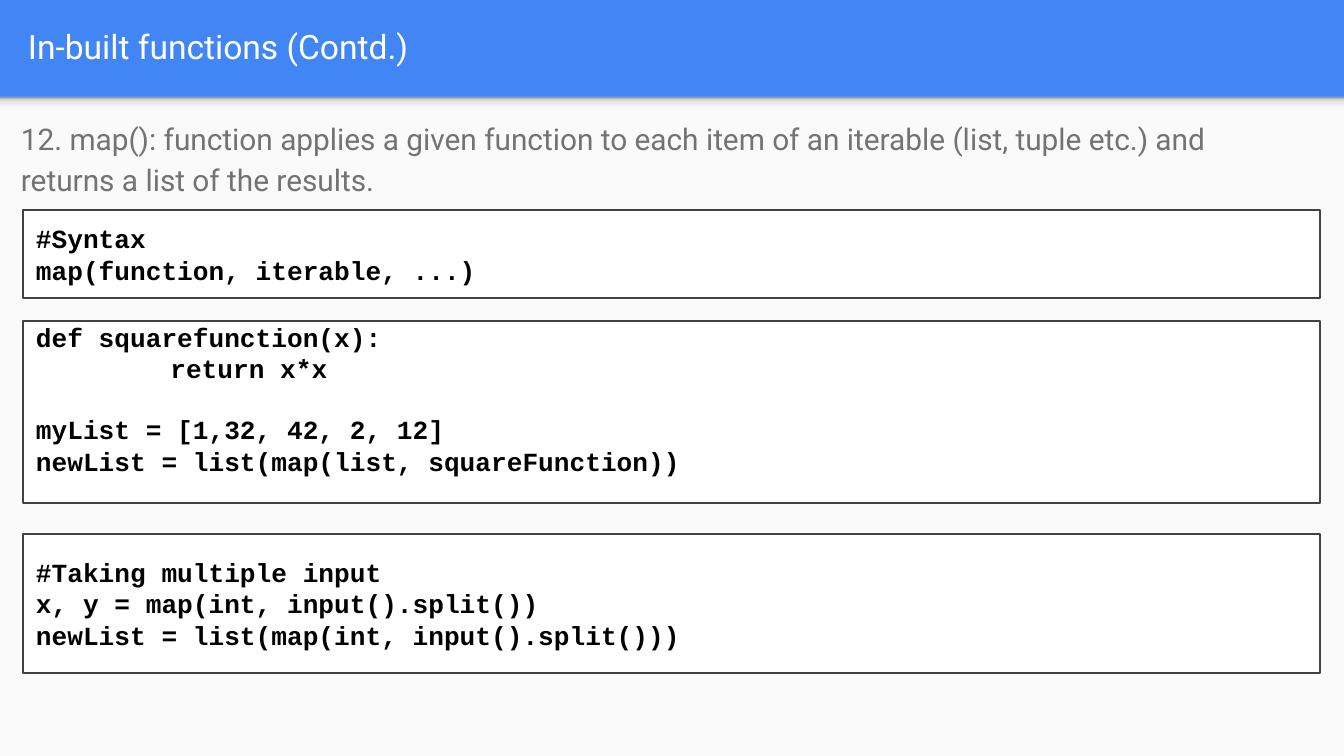
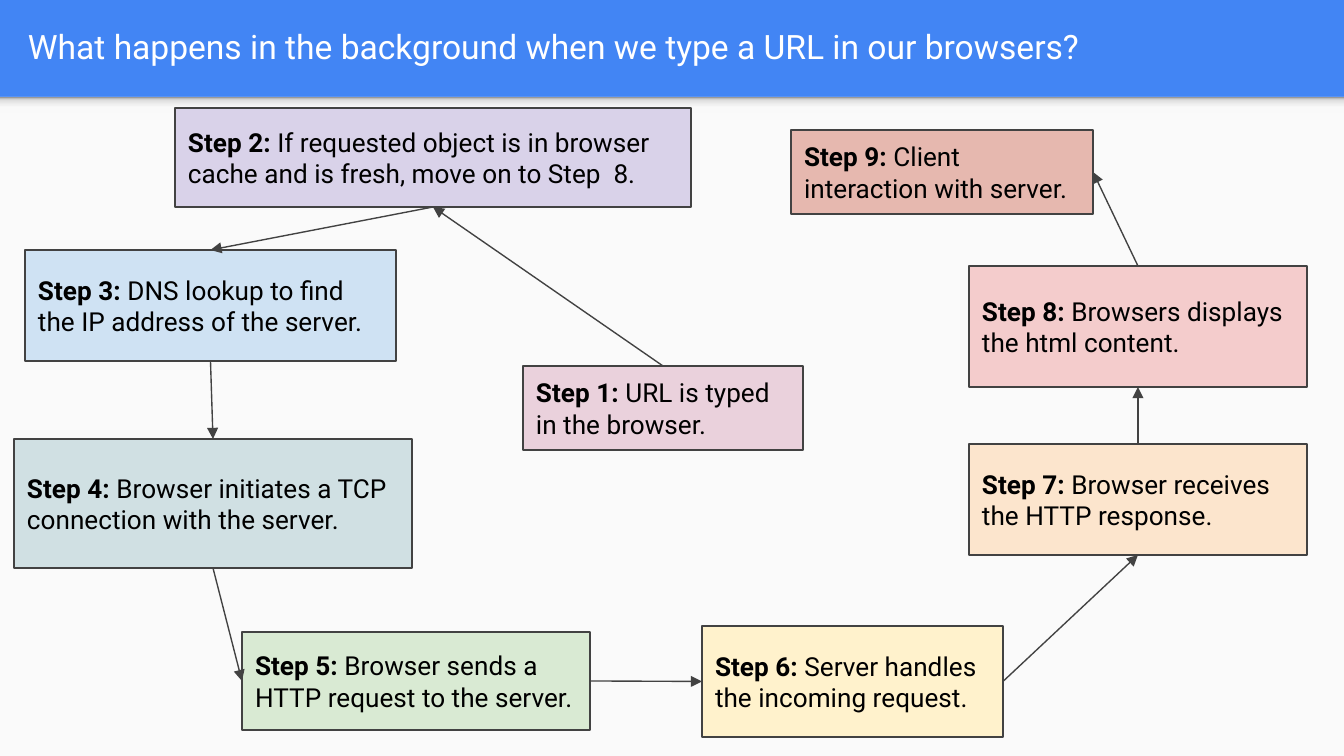
from dataclasses import dataclass
from itertools import pairwise

from lxml import etree
from pptx import Presentation
from pptx.dml.color import RGBColor
from pptx.enum.shapes import MSO_CONNECTOR, MSO_SHAPE
from pptx.enum.text import MSO_ANCHOR, PP_ALIGN
from pptx.oxml.ns import qn
from pptx.util import Pt

RECTANGLE = MSO_SHAPE.RECTANGLE
STRAIGHT = MSO_CONNECTOR.STRAIGHT
TOP_ANCHOR = MSO_ANCHOR.TOP
MIDDLE_ANCHOR = MSO_ANCHOR.MIDDLE
LEFT_ALIGN = PP_ALIGN.LEFT
TOP, LEFT, BOTTOM, RIGHT = range(4)  # connection sites of a rectangle


@dataclass(frozen=True)
class Theme:
    band: str = "4285F4"
    panel: str = "FAFAFA"
    outline: str = "424242"
    white: str = "FFFFFF"
    black: str = "000000"
    muted: str = "737373"
    shade: tuple = ((0, "F9F9F9"), (36, "F9F9F9"), (80, "DEDEDE"), (100, "999999"))
    text_font: str = "Roboto"
    code_font: str = "Courier New"
    title_size: int = 18
    body_size: int = 16
    label_size: int = 14
    line_width: float = 0.75


@dataclass(frozen=True)
class Box:
    x: int
    y: int
    w: int
    h: int

    def inner(self, x, y, w, h):
        return Box(self.x + x, self.y + y, w, h)

    def emu(self):
        return [px(v) for v in (self.x, self.y, self.w, self.h)]


THEME = Theme()
SLIDE = Box(0, 0, 1344, 756)
HEADER = Box(0, 0, 1344, 97)
CONTENT = Box(0, 97, 1344, 659)
INSET = 13
TEXT_WIDTH = 1297


def px(value):
    return round(value * 914400 / 134.4)


def rgb(value):
    return RGBColor.from_string(value)


# Shared parts
def add_rectangle(slide, box, fill, line=None):
    rectangle = slide.shapes.add_shape(RECTANGLE, *box.emu())
    rectangle.shadow.inherit = False
    rectangle.fill.solid()
    rectangle.fill.fore_color.rgb = rgb(fill)
    if line:
        rectangle.line.color.rgb = rgb(line)
        rectangle.line.width = Pt(THEME.line_width)
    else:
        rectangle.line.fill.background()
    return rectangle


def format_frame(frame, anchor=MIDDLE_ANCHOR, top=INSET):
    settings = {
        "word_wrap": True,
        "vertical_anchor": anchor,
        "margin_left": px(INSET),
        "margin_right": px(INSET),
        "margin_top": px(top),
        "margin_bottom": px(INSET),
    }
    for name, value in settings.items():
        setattr(frame, name, value)


def add_run(paragraph, text, size, color, font=THEME.text_font, bold=False):
    paragraph.alignment = LEFT_ALIGN
    run = paragraph.add_run()
    run.text = text
    for name, value in {"name": font, "size": Pt(size), "bold": bold}.items():
        setattr(run.font, name, value)
    run.font.color.rgb = rgb(color)


def add_text(slide, box, text, size, color, anchor, spacing):
    frame = slide.shapes.add_textbox(*box.emu()).text_frame
    format_frame(frame, anchor)
    paragraph = frame.paragraphs[0]
    paragraph.line_spacing = spacing
    add_run(paragraph, text, size, color)


def add_header_shade(slide, box):
    shade = add_rectangle(slide, box, THEME.panel)
    gradient = etree.Element(qn("a:gradFill"), rotWithShape="1")
    stops = etree.SubElement(gradient, qn("a:gsLst"))
    for percent, color in THEME.shade:
        stop = etree.SubElement(stops, qn("a:gs"), pos=str(percent * 1000))
        etree.SubElement(stop, qn("a:srgbClr"), val=color)
    etree.SubElement(gradient, qn("a:lin"), ang="16200000", scaled="0")
    properties = shade.element.spPr
    properties.replace(properties.find(qn("a:solidFill")), gradient)


def add_titled_slide(deck, title):
    slide = deck.slides.add_slide(deck.slide_layouts[6])
    slide.background.fill.solid()
    slide.background.fill.fore_color.rgb = rgb(THEME.band)
    add_rectangle(slide, CONTENT, THEME.panel)
    add_header_shade(slide, CONTENT.inner(0, 0, CONTENT.w, 16))
    add_text(slide, HEADER.inner(15, 2, TEXT_WIDTH, 89), title,
             THEME.title_size, THEME.white, MIDDLE_ANCHOR, 1)
    return slide


# Code slide
SYNTAX = ["#Syntax", "map(function, iterable, ...)"]
SQUARES = [
    "def squarefunction(x):",
    "\treturn x*x",
    "",
    "myList = [1,32, 42, 2, 12]",
    "newList = list(map(list, squareFunction))",
]
MULTIPLE_INPUT = [
    "#Taking multiple input",
    "x, y = map(int, input().split())",
    "newList = list(map(int, input().split()))",
]


def add_code(slide, box, lines, anchor=MIDDLE_ANCHOR, top=INSET):
    frame = add_rectangle(slide, box, THEME.white, THEME.outline).text_frame
    format_frame(frame, anchor, top)
    paragraph = frame.paragraphs[0]
    for number, line in enumerate(lines):
        if not line:
            continue
        if number:
            paragraph = frame.add_paragraph()
            if not lines[number - 1]:  # an empty code line becomes spacing
                paragraph.space_before = Pt(16)
        if line.startswith("\t"):  # a code tab becomes an indent
            properties = paragraph._p.get_or_add_pPr()
            properties.set("marL", "914400")
            properties.set("indent", "0")
        add_run(paragraph, line.strip(), THEME.label_size, THEME.black,
                THEME.code_font, True)


def build_map_slide(deck, area):
    slide = add_titled_slide(deck, "In-built functions (Contd.)")
    add_text(slide, area.inner(8, 5, TEXT_WIDTH, 89),
             "12. map(): function applies a given function to each item of an "
             "iterable (list, tuple etc.) and returns a list of the results.",
             THEME.body_size, THEME.muted, TOP_ANCHOR, 1.15)
    add_code(slide, area.inner(23, 113, TEXT_WIDTH, 88), SYNTAX)
    add_code(slide, area.inner(23, 224, TEXT_WIDTH, 182), SQUARES, TOP_ANCHOR, 0)
    add_code(slide, area.inner(23, 437, TEXT_WIDTH, 139), MULTIPLE_INPUT)


# Flow slide: text, fill and place of each step, in order
STEPS = [
    ("URL is typed in the browser.", "EAD1DC", (523, 269, 280, 84)),
    ("If requested object is in browser cache and is fresh, move on to Step  8.",
     "D9D2E9", (175, 11, 516, 99)),
    ("DNS lookup to find the IP address of the server.", "CFE2F3", (25, 153, 371, 111)),
    ("Browser initiates a TCP connection with the server.", "D0E0E3",
     (14, 342, 398, 129)),
    ("Browser sends a HTTP request to the server.", "D9EAD3", (242, 535, 348, 98)),
    ("Server handles the incoming request.", "FFF2CC", (702, 529, 301, 111)),
    ("Browser receives the HTTP response.", "FCE5CD", (969, 347, 338, 111)),
    ("Browsers displays the html content.", "F4CCCC", (969, 169, 338, 121)),
    ("Client interaction with server.", "E6B8AF", (791, 33, 302, 84)),
]
# Sides that the arrow from each step to the next one joins
ARROW_SIDES = [
    (TOP, BOTTOM), (BOTTOM, TOP), (BOTTOM, TOP), (BOTTOM, LEFT),
    (RIGHT, LEFT), (RIGHT, BOTTOM), (TOP, BOTTOM), (TOP, RIGHT),
]


def add_step(slide, box, number, text, fill):
    step = add_rectangle(slide, box, fill, THEME.outline)
    format_frame(step.text_frame)
    paragraph = step.text_frame.paragraphs[0]
    add_run(paragraph, f"Step {number}: ", THEME.label_size, THEME.black, bold=True)
    add_run(paragraph, text, THEME.label_size, THEME.black)
    return step


def add_arrow(slide, start, end, sides):
    arrow = slide.shapes.add_connector(STRAIGHT, 0, 0, 0, 0)
    arrow.begin_connect(start, sides[0])
    arrow.end_connect(end, sides[1])
    arrow.line.color.rgb = rgb(THEME.outline)
    arrow.line.width = Pt(THEME.line_width)
    etree.SubElement(arrow.line._get_or_add_ln(), qn("a:tailEnd"), type="triangle")
    etree.SubElement(arrow.element.spPr, qn("a:effectLst"))


def build_url_slide(deck, area):
    slide = add_titled_slide(
        deck, "What happens in the background when we type a URL in our browsers?")
    steps = [add_step(slide, area.inner(*place), number, text, fill)
             for number, (text, fill, place) in enumerate(STEPS, 1)]
    for (start, end), sides in zip(pairwise(steps), ARROW_SIDES):
        add_arrow(slide, start, end, sides)


def main():
    deck = Presentation()
    deck.slide_width, deck.slide_height = px(SLIDE.w), px(SLIDE.h)
    build_map_slide(deck, CONTENT)
    build_url_slide(deck, CONTENT)
    deck.save("out.pptx")


if __name__ == "__main__":
    main()
